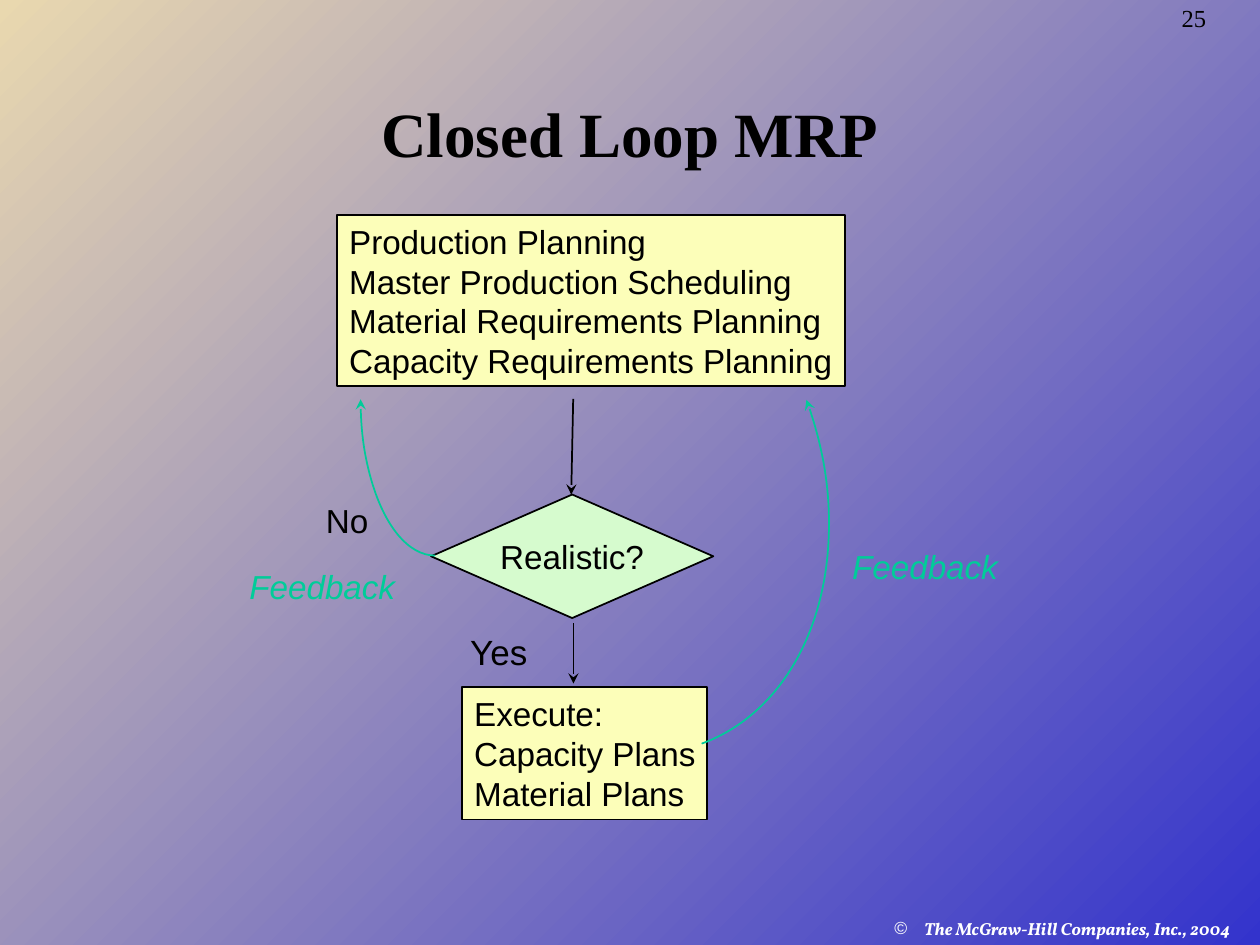
from lxml import etree
from pptx import Presentation
from pptx.dml.color import RGBColor
from pptx.enum.shapes import MSO_CONNECTOR, MSO_SHAPE
from pptx.enum.text import MSO_ANCHOR, PP_ALIGN
from pptx.oxml.ns import qn
from pptx.util import Cm, Pt

RECT, DIAMOND, ARC = MSO_SHAPE.RECTANGLE, MSO_SHAPE.DIAMOND, MSO_SHAPE.ARC
STRAIGHT = MSO_CONNECTOR.STRAIGHT
LEFT, CENTER = PP_ALIGN.LEFT, PP_ALIGN.CENTER
TOP, MIDDLE, BOTTOM = MSO_ANCHOR.TOP, MSO_ANCHOR.MIDDLE, MSO_ANCHOR.BOTTOM

BLACK = RGBColor(0, 0, 0)
WHITE = RGBColor(255, 255, 255)
BLUE = RGBColor(0x33, 0x33, 0xCC)
SAND = RGBColor(0xE9, 0xD8, 0xAF)
YELLOW = RGBColor(0xFC, 0xFE, 0xB9)
MINT = RGBColor(0xD6, 0xFB, 0xCE)
GREEN = RGBColor(0x00, 0xCC, 0x99)


def write(frame, text, size=19, font="Arial", color=BLACK, bold=False,
          italic=False, align=LEFT, anchor=TOP, wrap=False):
    frame.text = text
    frame.word_wrap = wrap
    frame.vertical_anchor = anchor
    for para in frame.paragraphs:
        para.alignment = align
        for run in para.runs:
            face = run.font
            face.size, face.name = Pt(size), font
            face.bold, face.italic = bold, italic
            face.color.rgb = color


def label(slide, box, text, **style):
    shape = slide.shapes.add_textbox(*map(Cm, box))
    write(shape.text_frame, text, **style)
    return shape.text_frame.paragraphs[0]


def feedback(slide, x, y):
    label(slide, (x, y, 3.6, 1.04), "Feedback", color=GREEN, italic=True)


def block(slide, kind, box, fill, text, **style):
    shape = slide.shapes.add_shape(kind, *map(Cm, box))
    shape.shadow.inherit = False
    shape.fill.solid()
    shape.fill.fore_color.rgb = fill
    shape.line.color.rgb = BLACK
    shape.line.width = Pt(1)
    write(shape.text_frame, text, **style)


def add_tip(line, end):
    etree.SubElement(line._get_or_add_ln(), qn(f"a:{end}"), type="stealth")


def arrow(slide, x1, y1, x2, y2):
    link = slide.shapes.add_connector(STRAIGHT, *map(Cm, (x1, y1, x2, y2)))
    link.line.color.rgb = BLACK
    link.line.width = Pt(1)
    add_tip(link.line, "tailEnd")
    etree.SubElement(link._element.spPr, qn("a:effectLst"))


def curve(slide, box, start, stop, end, turn=0):
    """Draw part of an ellipse, from start to stop in degrees."""
    arc = slide.shapes.add_shape(ARC, *map(Cm, box))
    arc.shadow.inherit = False
    arc.fill.background()
    # Angles are stored in 1/60000 degree, adjustments in 1/100000
    arc.adjustments[0], arc.adjustments[1] = start * 0.6, stop * 0.6
    arc.rotation = turn
    arc.line.color.rgb = GREEN
    arc.line.width = Pt(1)
    add_tip(arc.line, end)


def draw_page(slide, wide, high):
    # Backdrop
    fill = slide.background.fill
    fill.gradient()
    fill.gradient_angle = 135
    for stop, color, place in zip(fill.gradient_stops, (BLUE, SAND), (0, 1)):
        stop.color.rgb, stop.position = color, place

    # Credit line with its sign as bullet
    para = label(slide, (wide - 7.62, high - 0.66, 7.62, 1.09),
                 "The McGraw-Hill Companies, Inc., 2004", size=10,
                 font="Vollkorn", color=WHITE, bold=True, italic=True, wrap=True)
    props = para._p.get_or_add_pPr()
    props.set("marL", str(Cm(0.6)))
    props.set("indent", str(-Cm(0.6)))
    tint = etree.SubElement(props, qn("a:buClr"))
    etree.SubElement(tint, qn("a:srgbClr"), val=str(WHITE))
    etree.SubElement(props, qn("a:buFont"), typeface="Arial")
    etree.SubElement(props, qn("a:buChar"), char="©")

    # Page number
    para = label(slide, (wide - 1.83, 0, 2.57, 0.79), "25", size=14,
                 font="Times New Roman")
    para.line_spacing = 0.9


def draw_title(slide, x, y, w, h):
    title = slide.shapes.title
    title.left, title.top, title.width, title.height = map(Cm, (x, y, w, h))
    write(title.text_frame, "Closed Loop MRP", size=36, font="Times New Roman",
          bold=True, align=CENTER, anchor=BOTTOM, wrap=True)


def draw_plan(slide, x, y, w, h):
    block(slide, RECT, (x, y, w, h), YELLOW,
          "Production Planning\nMaster Production Scheduling\n"
          "Material Requirements Planning\nCapacity Requirements Planning")


def draw_test(slide, x, y, w, h):
    mid = x + w / 2
    arrow(slide, mid + 0.02, y - 1.93, mid - 0.02, y)
    block(slide, DIAMOND, (x, y, w, h), MINT, "Realistic?",
          align=CENTER, anchor=MIDDLE)


def draw_no(slide, x, y, w, h):
    # The curve is the lower left quarter of its ellipse
    curve(slide, (x + w - 3, y, 3, h), 90, 180, "tailEnd")
    label(slide, (x + 1.54, y + 5.06, 1.45, 1.04), "No")
    feedback(slide, x, y + 6.4)


def draw_act(slide, x, y, w, h):
    block(slide, RECT, (x, y, w, h), YELLOW,
          "Execute:\nCapacity Plans\nMaterial Plans")
    arrow(slide, x + 2.25, y - 1.29, x + 2.25, y - 0.07)
    label(slide, (x - 0.08, y - 1.27, 1.8, 1.09), "Yes", size=20)


def draw_loop(slide, x, y, w, h):
    # The curve is the lower right quarter of a tilted ellipse
    curve(slide, (x, y, w, h), 0, 90, "headEnd", turn=-20)
    feedback(slide, x + w + 0.41, y + 7.13)


def main():
    deck = Presentation()
    deck.slide_width, deck.slide_height = Cm(25.4), Cm(19.05)
    slide = deck.slides.add_slide(deck.slide_layouts[5])
    draw_page(slide, 25.4, 19.05)
    draw_title(slide, 0.5, 1.47, 24.4, 2.08)
    draw_plan(slide, 6.79, 4.33, 10.24, 3.45)
    draw_test(slide, 8.69, 9.97, 5.69, 2.49)
    draw_no(slide, 4.78, 4.9, 5.49, 6.3)
    draw_act(slide, 9.31, 13.85, 4.95, 2.67)
    draw_loop(slide, 7.81, 3.76, 8.71, 11.58)
    deck.save("out.pptx")


if __name__ == "__main__":
    main()
